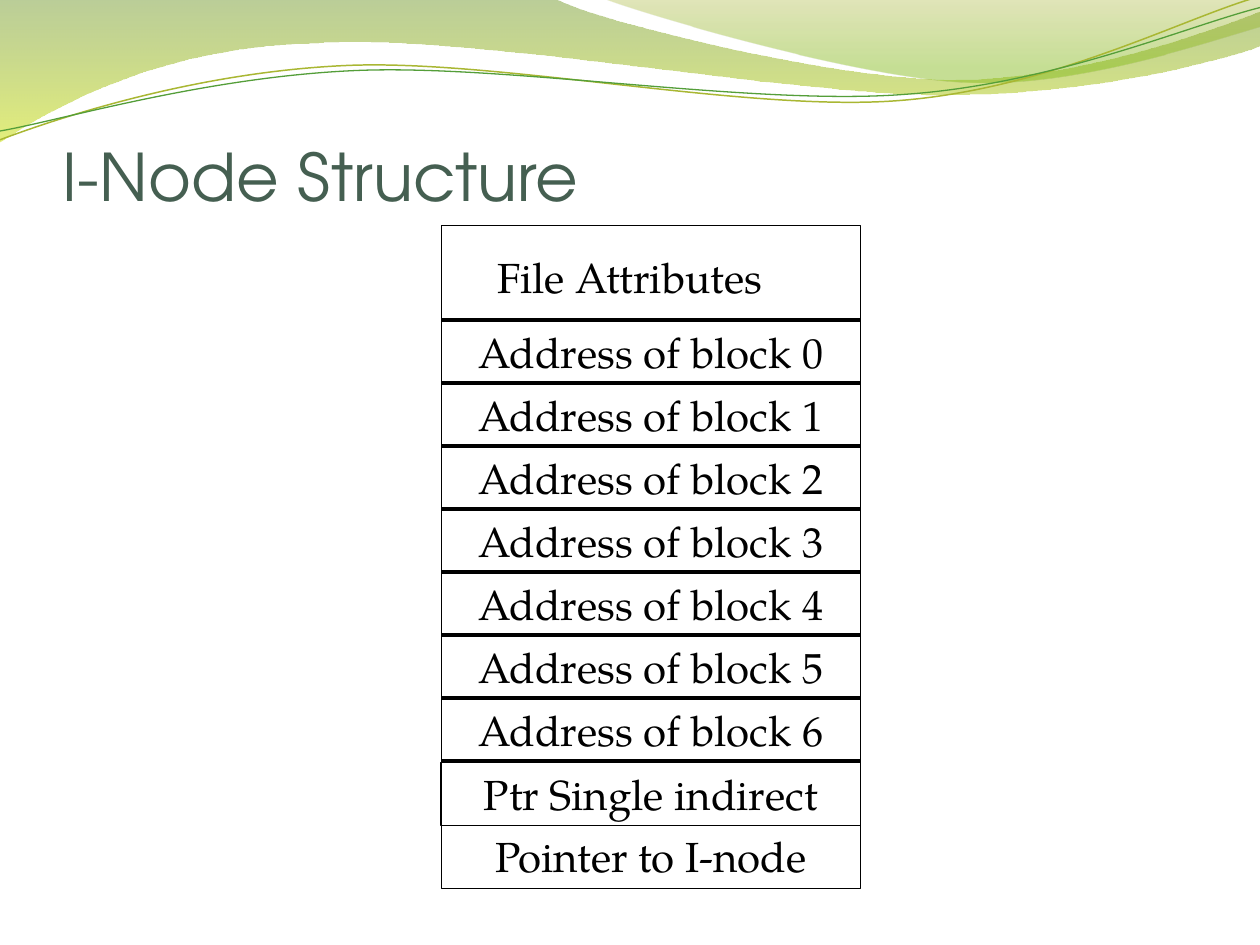
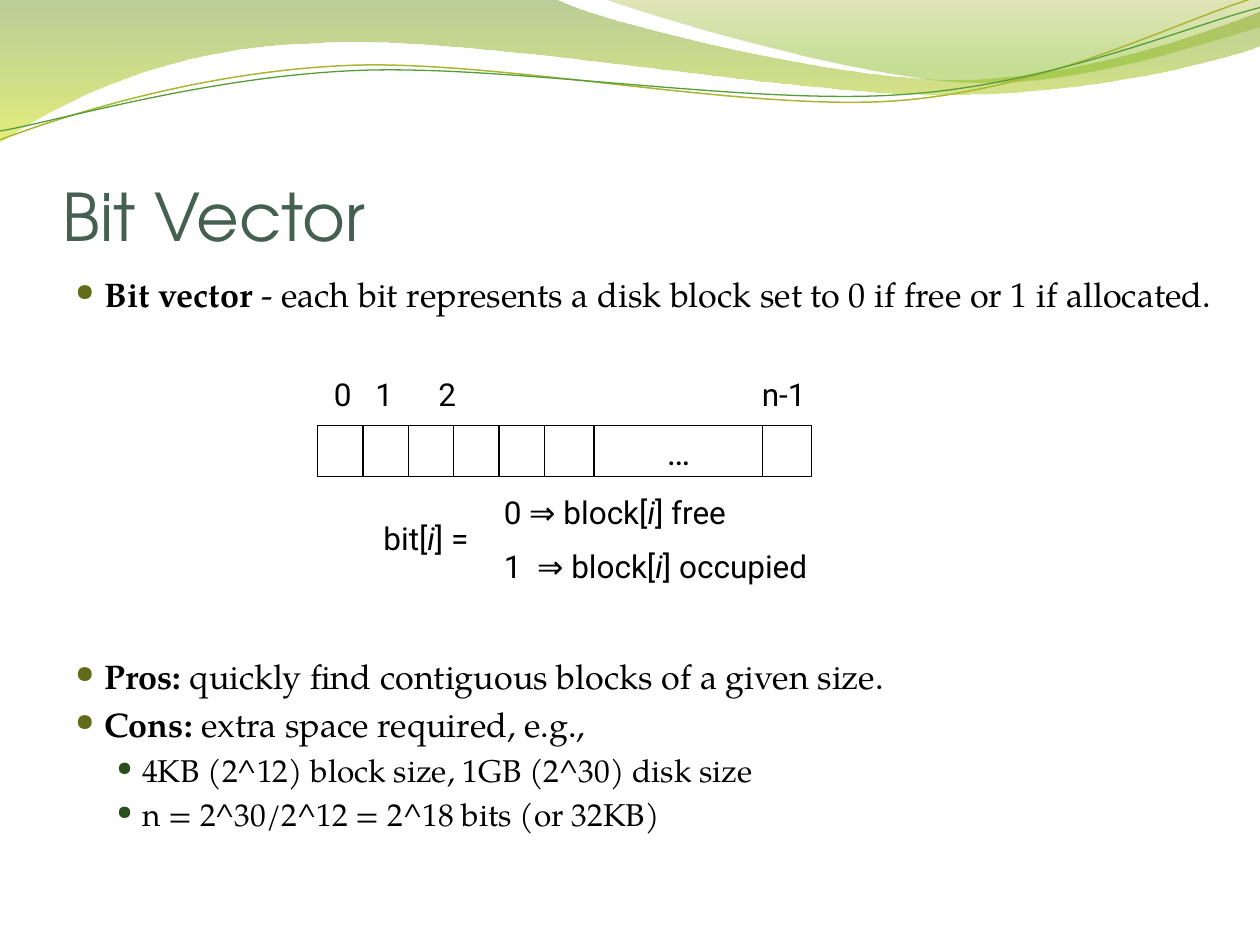
from lxml import etree
from pptx import Presentation
from pptx.dml.color import RGBColor
from pptx.enum.shapes import MSO_CONNECTOR as Connector, MSO_SHAPE as Shape
from pptx.enum.text import MSO_ANCHOR as Anchor, MSO_AUTO_SIZE as AutoSize, PP_ALIGN as Align
from pptx.oxml.ns import qn
from pptx.util import Inches, Pt

BLACK = RGBColor(0, 0, 0)
WHITE = RGBColor(0xFF, 0xFF, 0xFF)
TITLE_GREEN = RGBColor(0x45, 0x5F, 0x51)
BULLET_OLIVE = RGBColor(0x62, 0x6B, 0x1A)
BULLET_GREEN = RGBColor(0x2A, 0x4F, 0x1C)
WAVE_DARK = RGBColor(0x69, 0x92, 0x1C)
WAVE_LIME = RGBColor(0xCC, 0xE1, 0x0F)
CREST_OLIVE = RGBColor(0x9B, 0xAA, 0x1A)
CREST_GREEN = RGBColor(0x81, 0xBA, 0x16)
LINE_OLIVE = RGBColor(0xA9, 0xB7, 0x33)
LINE_GREEN = RGBColor(0x54, 0x9E, 0x39)

SANS, SERIF, TITLE_FONT = "Roboto", "TeX Gyre Pagella", "TeX Gyre Adventor"

# Outlines: a start point, then straight steps (x, y) or Bézier steps (x1, y1, x2, y2, x, y).
# Gradient stops: position, colour, opacity in percent.
WAVES = [
    ([(0, 0), (4.4, -0.01), (4.75, 0.17, 6.63, 0.63, 7.58, 0.63),
      (8.53, 0.63, 9.58, 0.26, 10, 0.09), (10.01, 0.36),
      (9.83, 0.44, 8.69, 0.76, 7.46, 0.75), (6.22, 0.75, 3.81, 0.28, 2.57, 0.34),
      (1.29, 0.36, 0.46, 0.83, -0.01, 1.13)],
     [(0, WAVE_DARK, 45), (1, WAVE_LIME, 55)]),
    ([(4.79, -0.01), (5.09, 0.11, 6.82, 0.62, 7.68, 0.65),
      (8.55, 0.69, 9.61, 0.32, 10, 0.21), (10, 0)],
     [(0, CREST_OLIVE, 30), (0.8, CREST_GREEN, 45)]),
]
STRANDS = [
    ([(0, 1.11), (0.48, 0.93, 1.57, 0.57, 2.76, 0.52), (3.95, 0.47, 5.92, 0.89, 7.12, 0.8),
      (8.33, 0.71, 9.38, 0.15, 9.97, -0.02)], LINE_OLIVE, 0.85),
    ([(0, 1.04), (0.47, 0.96, 1.63, 0.61, 2.83, 0.56), (4.02, 0.51, 5.97, 0.84, 7.17, 0.75),
      (8.36, 0.67, 9.41, 0.21, 10, 0.06)], LINE_GREEN, 0.75),
]

BLOCK_COUNT = 7
INODE_LEFT, INODE_WIDTH = 3.5, 3.33
ROW_TOP, ROW_STEP, ROW_HEIGHT = 2.54, 0.5, 0.51

# Paragraphs are lists of spans: text, style ("b" bold, "i" italic, "" plain).
# Bullets: level, space before in points, spans.
BIT_VECTOR_POINTS = [
    (0, 4, [("Bit vector", "b"),
            (" - each bit represents a disk block set to 0 if free or 1 if allocated.", "")]),
    (0, 195, [("Pros:", "b"), (" quickly find contiguous blocks of a given size.", "")]),
    (0, 4, [("Cons:", "b"), (" extra space required, e.g.,", "")]),
    (1, 3.6, [("4KB (2^12) block size, 1GB (2^30) disk size", "")]),
    (1, 3.6, [("n = 2^30/2^12 = 2^18 bits (or 32KB)", "")]),
]
# Level: size, indent, hanging, bullet colour, bullet size in percent
LEVELS = [(19.5, 0.23, 0.23, BULLET_OLIVE, 70), (18, 0.53, 0.2, BULLET_GREEN, 62)]

BIT_TOP, BIT_WIDTH, BIT_HEIGHT = 3.38, 0.39, 0.4
BITS_LEFT, BIT_STEP, LEADING_BITS = 2.52, 0.36, 6
ELLIPSIS_LEFT, ELLIPSIS_WIDTH = 4.72, 1.33
BIT_LABELS = [("0", 2.55, 0.34), ("1", 2.88, 0.34), ("2", 3.38, 0.34), ("n-1", 5.94, 0.56)]
BIT_FORMULA = [("bit[", ""), ("i", "i"), ("] =", "")]
BIT_MEANINGS = [
    [("0 ⇒ block[", ""), ("i", "i"), ("] free", "")],
    [("1  ⇒ block[", ""), ("i", "i"), ("] occupied", "")],
]


def add_outline(page, outline, close):
    """Build a freeform through the end points, then bend its Bézier steps."""
    corners = [(Inches(step[-2]), Inches(step[-1])) for step in outline]
    builder = page.shapes.build_freeform(*corners[0])
    builder.add_line_segments(corners[1:], close=close)
    shape = builder.convert_to_shape()
    shape.shadow.inherit = False
    segments = list(shape.element.spPr.iter(qn("a:lnTo")))
    for segment, step in zip(segments, outline[1:]):
        if len(step) == 2:
            continue
        segment.tag = qn("a:cubicBezTo")
        end = segment[0]
        for x, y in (step[:2], step[2:4]):
            control = etree.Element(qn("a:pt"))
            control.set("x", str(Inches(x) - shape.left))
            control.set("y", str(Inches(y) - shape.top))
            end.addprevious(control)
    return shape


def add_wave_band(page):
    for outline, stops in WAVES:
        wave = add_outline(page, outline, True)
        wave.line.fill.background()
        wave.fill.gradient()
        wave.fill.gradient_angle = 270
        for stop, (position, color, _) in zip(wave.fill.gradient_stops, stops):
            stop.position = position
            stop.color.rgb = color
        for tag, (_, _, opacity) in zip(wave.element.spPr.iter(qn("a:srgbClr")), stops):
            etree.SubElement(tag, qn("a:alpha")).set("val", str(opacity * 1000))
    for outline, color, weight in STRANDS:
        strand = add_outline(page, outline, False)
        strand.fill.background()
        strand.line.color.rgb = color
        strand.line.width = Pt(weight)


def write_spans(para, spans, size, font, color=BLACK):
    for text, style in spans:
        span = para.add_run()
        span.text = text
        span.font.name = font
        span.font.size = Pt(size)
        span.font.color.rgb = color
        span.font.bold = style == "b"
        span.font.italic = style == "i"


def fill_frame(frame, paragraphs, size, font, color=BLACK, align=Align.LEFT,
               anchor=Anchor.TOP, wrap=True, grow=True, before=0):
    frame.word_wrap = wrap
    frame.vertical_anchor = anchor
    frame.auto_size = AutoSize.SHAPE_TO_FIT_TEXT if grow else AutoSize.NONE
    for index, spans in enumerate(paragraphs):
        para = frame.add_paragraph() if index else frame.paragraphs[0]
        para.alignment = align
        para.space_before = Pt(before)
        write_spans(para, spans, size, font, color)


def add_text(page, area, *content, **style):
    frame = page.shapes.add_textbox(*map(Inches, area)).text_frame
    fill_frame(frame, *content, **style)
    return frame


def add_rect(page, area, fill=None, weight=0.75):
    rect = page.shapes.add_shape(Shape.RECTANGLE, *map(Inches, area))
    rect.shadow.inherit = False
    if fill is None:
        rect.fill.background()
    else:
        rect.fill.solid()
        rect.fill.fore_color.rgb = fill
    rect.line.color.rgb = BLACK
    rect.line.width = Pt(weight)
    return rect


def add_rule(page, left, right, y):
    rule = page.shapes.add_connector(Connector.STRAIGHT, Inches(left), Inches(y),
                                     Inches(right), Inches(y))
    rule.line.color.rgb = BLACK
    rule.line.width = Pt(2.25)
    etree.SubElement(rule.element.spPr, qn("a:effectLst"))


def add_page(deck, title, title_top):
    page = deck.slides.add_slide(deck.slide_layouts[6])
    add_wave_band(page)
    frame = add_text(page, (0.5, title_top, 9, 1.25), [[(title, "")]], 37.5, TITLE_FONT,
                     TITLE_GREEN, anchor=Anchor.BOTTOM, grow=False)
    frame.margin_left = frame.margin_right = frame.margin_bottom = 0
    return page


def set_bullet(para, indent, hanging, color, percent):
    props = para._p.get_or_add_pPr()
    props.set("marL", str(Inches(indent)))
    props.set("indent", str(-Inches(hanging)))
    bullet_color = etree.SubElement(props, qn("a:buClr"))
    etree.SubElement(bullet_color, qn("a:srgbClr")).set("val", str(color))
    etree.SubElement(props, qn("a:buSzPct")).set("val", str(percent * 1000))
    etree.SubElement(props, qn("a:buChar")).set("char", "●")


def add_inode_page(deck):
    page = add_page(deck, "I-Node Structure", 0.45)

    def add_label(text, top, width=INODE_WIDTH):
        add_text(page, (INODE_LEFT, top, width, ROW_HEIGHT), [[(text, "")]], 24, SERIF,
                 align=Align.CENTER)

    add_rect(page, (INODE_LEFT, 1.79, INODE_WIDTH, 5.26), weight=0.5)
    add_label("File Attributes", 1.95, 3)
    for number in range(BLOCK_COUNT):
        add_label(f"Address of block {number}", ROW_TOP + number * ROW_STEP)
    add_label("Pointer to I-node", ROW_TOP + (BLOCK_COUNT + 1) * ROW_STEP)
    for index in range(BLOCK_COUNT + 1):
        add_rule(page, INODE_LEFT, INODE_LEFT + INODE_WIDTH, ROW_TOP + index * ROW_STEP)

    indirect = add_rect(page, (INODE_LEFT, 6.05, INODE_WIDTH, ROW_STEP))
    fill_frame(indirect.text_frame, [[("Ptr Single indirect", "")]], 24, SERIF,
               align=Align.CENTER)


def add_bit_vector_page(deck):
    page = add_page(deck, "Bit Vector", 0.77)

    body = add_text(page, (0.5, 2.12, 9.4, 4.8), [], 19.5, SERIF, grow=False)
    for index, (level, before, spans) in enumerate(BIT_VECTOR_POINTS):
        para = body.add_paragraph() if index else body.paragraphs[0]
        size, *bullet = LEVELS[level]
        para.level = level
        para.space_before = Pt(before)
        set_bullet(para, *bullet)
        write_spans(para, spans, size, SERIF)

    for index in range(LEADING_BITS):
        add_rect(page, (BITS_LEFT + index * BIT_STEP, BIT_TOP, BIT_WIDTH, BIT_HEIGHT), WHITE)
    ellipsis = add_rect(page, (ELLIPSIS_LEFT, BIT_TOP, ELLIPSIS_WIDTH, BIT_HEIGHT), WHITE)
    fill_frame(ellipsis.text_frame, [[("…", "")]], 20, SANS, align=Align.CENTER,
               anchor=Anchor.MIDDLE, wrap=False, grow=False)
    add_rect(page, (ELLIPSIS_LEFT + ELLIPSIS_WIDTH, BIT_TOP, BIT_WIDTH, BIT_HEIGHT), WHITE)

    notes = [((left, 2.93, width, 0.4), [[(text, "")]], Align.CENTER)
             for text, left, width in BIT_LABELS]
    notes += [((2.94, 4.07, 0.88, 0.4), [BIT_FORMULA], Align.CENTER),
              ((3.9, 3.85, 2.64, 0.85), BIT_MEANINGS, Align.LEFT)]
    for area, paragraphs, align in notes:
        add_text(page, area, paragraphs, 18, SANS, align=align, anchor=Anchor.MIDDLE,
                 wrap=False, before=9)


def main():
    deck = Presentation()
    deck.slide_width, deck.slide_height = Inches(10), Inches(7.5)
    add_inode_page(deck)
    add_bit_vector_page(deck)
    deck.save("out.pptx")


if __name__ == "__main__":
    main()
